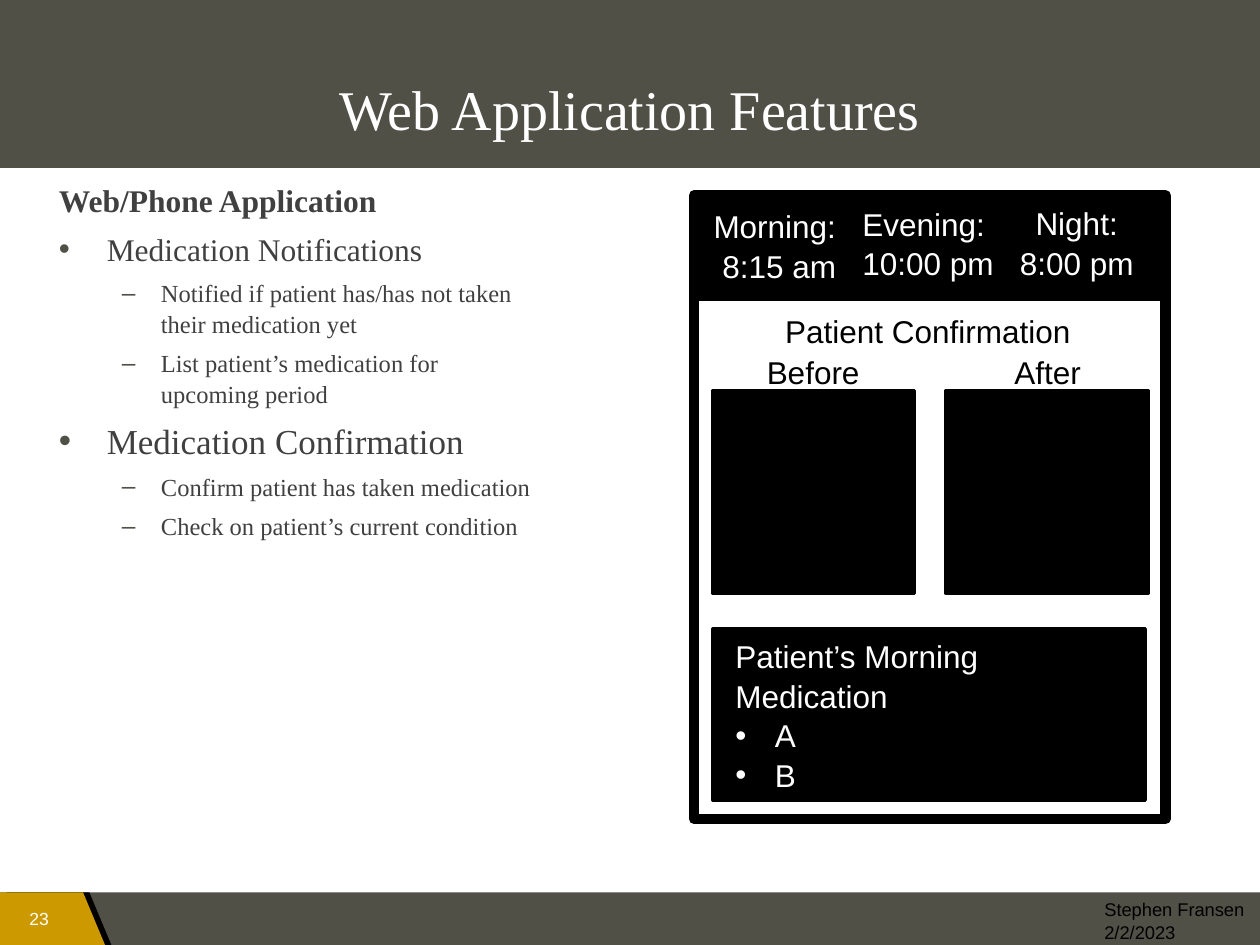
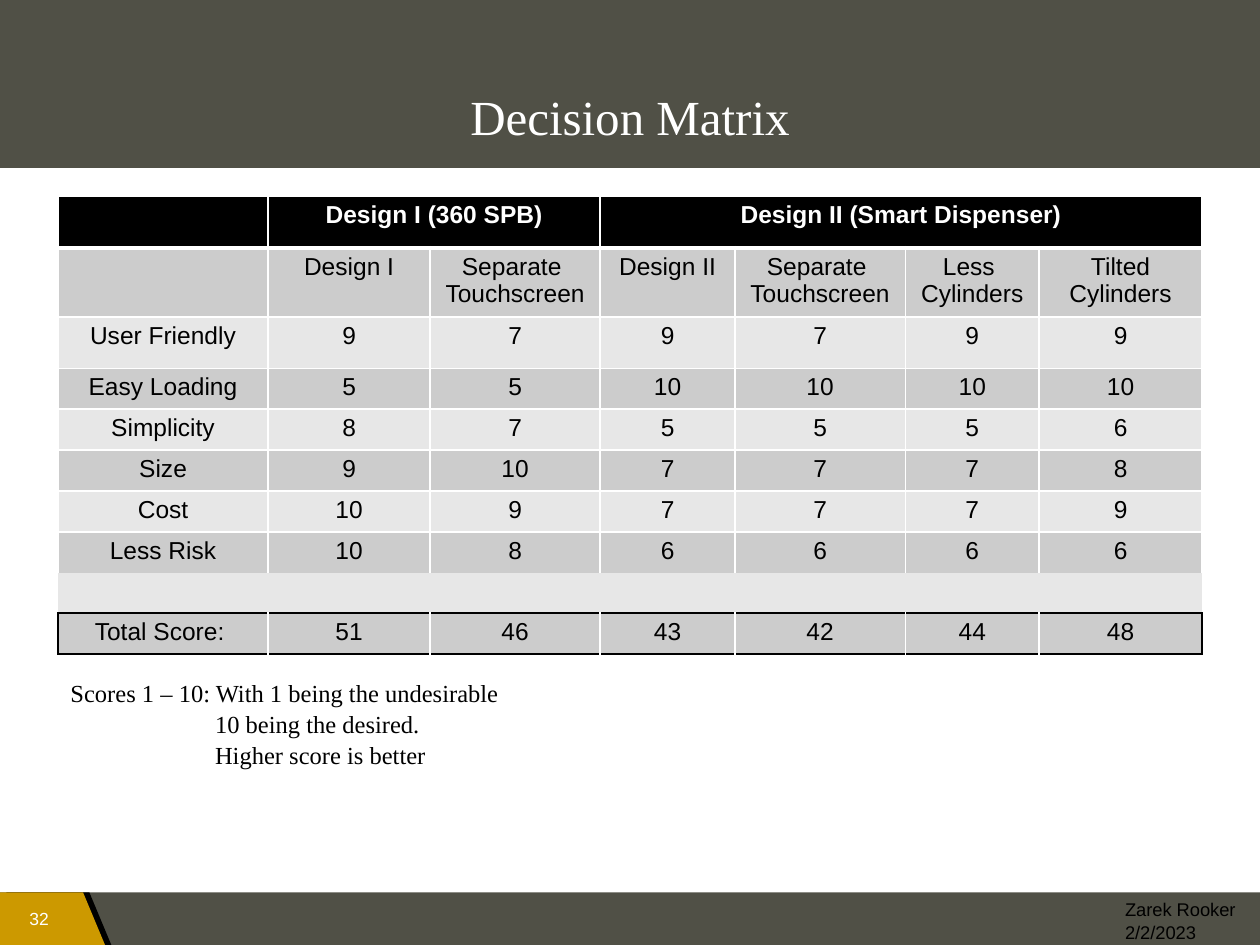
import pptx
import pptx.util
import pptx.dml.color
import pptx.enum.shapes
import pptx.enum.text
import pptx.oxml
import pptx.oxml.ns
import lxml.etree

Pt = pptx.util.Pt
ALIGN = pptx.enum.text.PP_ALIGN
ANCHOR = pptx.enum.text.MSO_ANCHOR
RECT = pptx.enum.shapes.MSO_SHAPE.RECTANGLE
QN = pptx.oxml.ns.qn

WIDE, HIGH = 720, 540
SANS, SERIF = "Arial", "Times New Roman"
COLORS = {
    "band": "505046",
    "gold": "CC9900",
    "black": "000000",
    "white": "FFFFFF",
    "body": "404040",
    "dark": "CCCCCC",
    "light": "E7E7E7",
}

FEATURES = [
    ("Web/Phone Application", 18, None),
    ("Medication Notifications", 18, 0),
    ("Notified if patient has/has not taken their medication yet", 14, 1),
    ("List patient’s medication for upcoming period", 14, 1),
    ("Medication Confirmation", 20, 0),
    ("Confirm patient has taken medication", 14, 1),
    ("Check on patient’s current condition", 14, 1),
]
MARKS = [("•", 27.36, 27.36), ("–", 58.32, 22.32)]

COLS = [120, 92.6, 97.2, 77, 97.4, 76.5, 93]
ROWS = [29.5, 38, 29.2] + [23] * 7
SCORES = [
    ["", "Design I (360 SPB)", "", "Design II (Smart Dispenser)", "", "", ""],
    ["", "Design I", "Separate \nTouchscreen", "Design II",
     "Separate \nTouchscreen", "Less \nCylinders", "Tilted Cylinders"],
    ["User Friendly", 9, 7, 9, 7, 9, 9],
    ["Easy Loading", 5, 5, 10, 10, 10, 10],
    ["Simplicity", 8, 7, 5, 5, 5, 6],
    ["Size", 9, 10, 7, 7, 7, 8],
    ["Cost", 10, 9, 7, 7, 7, 9],
    ["Less Risk", 10, 8, 6, 6, 6, 6],
    [""] * 7,
    ["Total Score: ", 51, 46, 43, 42, 44, 48],
]


def color(name):
    return pptx.dml.color.RGBColor.from_string(COLORS[name])


def paint(shape, fill=None, line=None, width=0):
    shape.shadow.inherit = False
    if fill:
        shape.fill.solid()
        shape.fill.fore_color.rgb = color(fill)
    else:
        shape.fill.background()
    if line:
        shape.line.color.rgb = color(line)
        shape.line.width = Pt(width)
    else:
        shape.line.fill.background()


def block(slide, box, fill=None, line=None, width=0):
    shape = slide.shapes.add_shape(RECT, *map(Pt, box))
    paint(shape, fill, line, width)


def frame(slide, box, anchor=ANCHOR.TOP):
    body = slide.shapes.add_textbox(*map(Pt, box)).text_frame
    body.word_wrap = True
    body.vertical_anchor = anchor
    return body


def add_par(body, first):
    return body.paragraphs[0] if first else body.add_paragraph()


def write(par, words, size, face, tint, bold=False, align=ALIGN.LEFT, space=1.05):
    par.alignment = align
    par.line_spacing = space
    run = par.add_run()
    run.text = words
    font = run.font
    font.size, font.name, font.bold = Pt(size), face, bold
    font.color.rgb = color(tint)


def indent(par, left, hang=0, mark=None, tint=None):
    props = par._p.get_or_add_pPr()
    props.set("marL", str(Pt(left)))
    props.set("indent", str(-Pt(hang)))
    if tint:
        hue = lxml.etree.SubElement(props, QN("a:buClr"))
        lxml.etree.SubElement(hue, QN("a:srgbClr")).set("val", COLORS[tint])
    if mark:
        lxml.etree.SubElement(props, QN("a:buFont")).set("typeface", SANS)
        lxml.etree.SubElement(props, QN("a:buChar")).set("char", mark)


def label(slide, box, lines, size, tint, face=SANS, align=ALIGN.CENTER,
          anchor=ANCHOR.TOP, space=1.05):
    body = frame(slide, box, anchor)
    for i, words in enumerate(lines):
        write(add_par(body, i == 0), words, size, face, tint,
              align=align, space=space)


def wedge(slide, left, top, fill):
    form = slide.shapes.build_freeform(Pt(left), Pt(HIGH), scale=1.0)
    form.add_line_segments([
        (Pt(left), Pt(top)),
        (Pt(left + 47.5), Pt(top)),
        (Pt(left + 60), Pt(HIGH)),
    ])
    paint(form.convert_to_shape(), fill)


def header(slide, box, title, size):
    block(slide, (0, 0, WIDE, 96), "band")
    label(slide, box, [title], size, "white", SERIF, anchor=ANCHOR.BOTTOM, space=1)


def footer(slide, box, page, author, inset):
    left, top, width, height = box
    block(slide, box, "band")
    wedge(slide, left + 3.6, top, "black")
    wedge(slide, left, top, "gold")
    label(slide, (left + 7.2, top + 4.2, 30.2, 21.6), [page], 10, "white",
          anchor=ANCHOR.MIDDLE, space=1)
    block(slide, (left + 473.8, top + 4, 246.2, 23.8), "band")
    label(slide, (left + width - inset, top - 1, inset, 45),
          [author, "2/2/2023"], 10.5, "black", align=ALIGN.LEFT)


def outline(slide, box):
    body = frame(slide, box)
    for i, (words, size, level) in enumerate(FEATURES):
        par = add_par(body, i == 0)
        if level is not None:
            mark, left, hang = MARKS[level]
            par.level = level
            indent(par, left, hang, mark, "band")
        if i:
            par.space_before = Pt(2)
        par.space_after = Pt(3)
        write(par, words, size, SERIF, "body", bold=level is None)


def phone(slide, box):
    left, top, width, height = box
    block(slide, box, None, "black", 6)
    block(slide, (left, top + 0.5, width, 59), "black", "black", 2)
    times = [("Morning: ", "8:15 am", 2), ("Evening: ", "10:00 pm", 0.7),
             ("Night:", "8:00 pm", 0.4)]
    for i, (part, hour, drop) in enumerate(times):
        label(slide, (left - 2.2 + 85 * i, top + drop, 101.5, 51),
              [part, hour], 18, "white")
    label(slide, (left + 41, top + 62, 185, 29), ["Patient Confirmation"], 18, "black")
    for i, words in enumerate(["Before", "After"]):
        block(slide, (left + 10.8 + 133.2 * i, top + 111.6, 115.2, 115.9),
              "black", "black", 2)
        label(slide, (left - 24.5 + 134 * i, top + 85.7, 185, 29),
              [words], 18, "black")
    block(slide, (left + 10.8, top + 247.7, 247, 98), "black", "black", 2)
    body = frame(slide, (left + 16.5, top + 247.7, 234.7, 94.3))
    for i, words in enumerate(["Patient’s Morning Medication", "A", "B"]):
        par = add_par(body, i == 0)
        if i:
            indent(par, 22.5, 22.5, "•")
        write(par, words, 18, SANS, "white")


def border(cell, sides):
    props = cell._tc.get_or_add_tcPr()
    for i, side in enumerate("LRTB"):
        line = lxml.etree.Element(QN("a:ln" + side))
        if side in sides:
            tint, width = sides[side]
            line.set("w", str(Pt(width)))
            fill = lxml.etree.SubElement(line, QN("a:solidFill"))
            lxml.etree.SubElement(fill, QN("a:srgbClr")).set("val", COLORS[tint])
        else:
            lxml.etree.SubElement(line, QN("a:noFill"))
        props.insert(i, line)


def edges(row, col):
    last = len(SCORES) - 1
    if row == last - 1:
        return {"B": ("black", 1)}
    sides = {side: ("white", 1) for side in "LRTB"}
    if row == 0:
        sides["B"] = ("white", 3)
    if row == 1:
        sides["T"] = ("white", 3)
    if row == last - 2:
        del sides["B"]
    if row == last:
        sides["T"] = sides["B"] = ("black", 1)
        if col == 0:
            sides["L"] = ("black", 1)
        if col == len(COLS) - 1:
            sides["R"] = ("black", 1)
    return sides


def matrix(slide, box):
    table = slide.shapes.add_table(len(ROWS), len(COLS), *map(Pt, box)).table
    for col, width in zip(table.columns, COLS):
        col.width = Pt(width)
    for row, height in zip(table.rows, ROWS):
        row.height = Pt(height)
    for first, end in [(1, 2), (3, 6)]:
        table.cell(0, first).merge(table.cell(0, end))
    for r, values in enumerate(SCORES):
        fill = "black" if r == 0 else "dark" if r % 2 else "light"
        for c, value in enumerate(values):
            cell = table.cell(r, c)
            cell.fill.solid()
            cell.fill.fore_color.rgb = color(fill)
            border(cell, edges(r, c))
            if value == "":
                cell.text_frame.paragraphs[0].font.size = Pt(12)
                continue
            for i, words in enumerate(str(value).split("\n")):
                write(add_par(cell.text_frame, i == 0), words, 14, SANS,
                      "black" if r else "white", r == 0, ALIGN.CENTER, 0.96)


def legend(slide, box):
    body = frame(slide, box)
    lines = ["Scores 1 – 10: With 1 being the undesirable",
             "10 being the desired.", "Higher score is better"]
    for i, words in enumerate(lines):
        par = add_par(body, i == 0)
        if i:
            indent(par, 82.6)
        write(par, words, 14, SERIF, "black")


def main():
    deck = pptx.Presentation()
    deck.slide_width, deck.slide_height = Pt(WIDE), Pt(HIGH)
    blank = deck.slide_layouts[6]
    base = (0, 510, WIDE, 30)

    slide = deck.slides.add_slide(blank)
    header(slide, (72, 17.3, 576, 67), "Web Application Features", 32)
    footer(slide, base, "23", "Stephen Fransen", 96)
    outline(slide, (26.6, 99, 288, 232))
    phone(slide, (396.7, 111.6, 269.3, 356.4))

    slide = deck.slides.add_slide(blank)
    header(slide, (0, 19.4, WIDE, 67), "Decision Matrix", 28)
    footer(slide, base, "32", "Zarek Rooker", 84.2)
    matrix(slide, (33.2, 112.3, sum(COLS), sum(ROWS)))
    legend(slide, (33.2, 383, 644.4, 58.3))

    deck.save("out.pptx")


if __name__ == "__main__":
    main()
